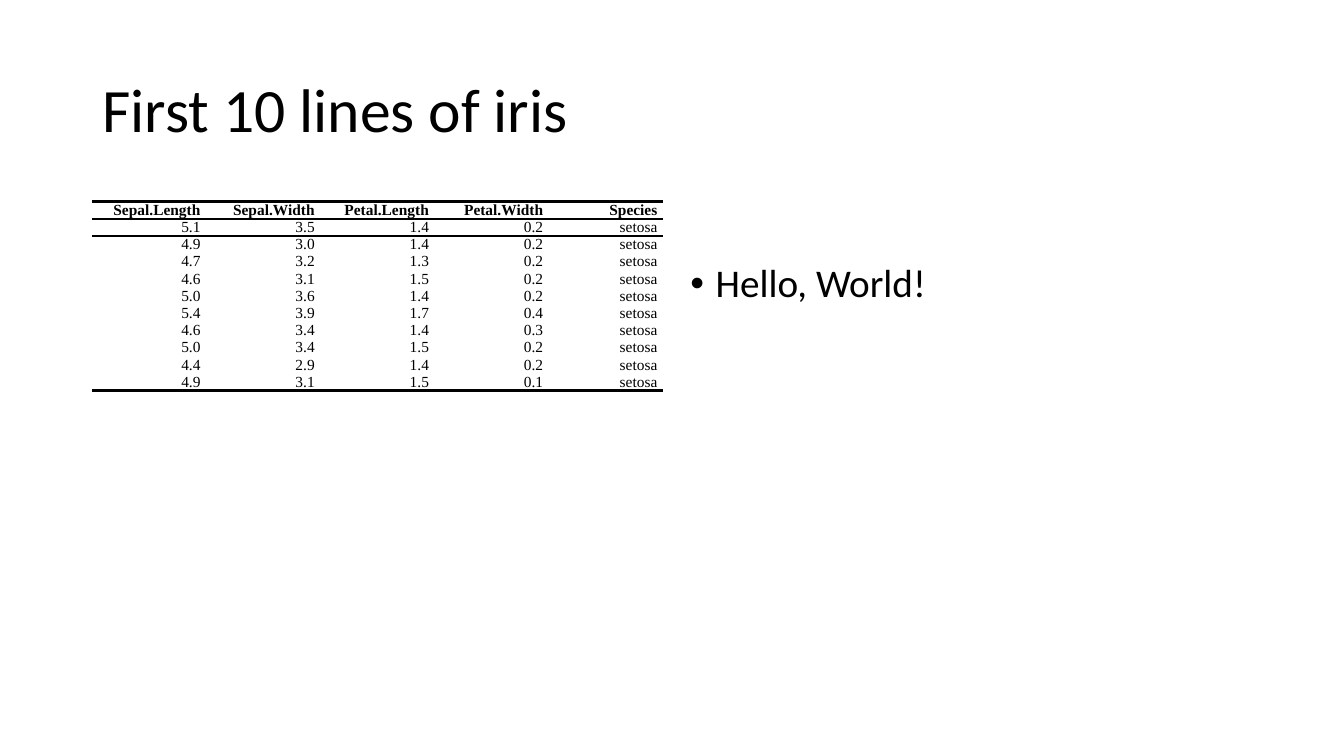
from typing import NamedTuple

from lxml.etree import SubElement
from pptx import Presentation
from pptx.dml.color import RGBColor
from pptx.enum.text import MSO_ANCHOR as Anchor, MSO_AUTO_SIZE as AutoSize, PP_ALIGN as Align
from pptx.oxml.ns import qn
from pptx.util import Emu, Inches, Pt

BLACK = RGBColor(0x00, 0x00, 0x00)
HEADING_FONT = "Calibri"
TABLE_FONT = "Times New Roman"
NO_GRID_STYLE = "{2D5ABB26-0587-4C30-8999-92F81FD0307C}"
GRID_UNIT = Inches(1) / 12  # the slide is 160 columns by 90 rows
SLIDE_COLUMNS, SLIDE_ROWS = 160, 90
CELL_INDENT = Inches(0.06)
TABLE_ROW = 2.05


class Area(NamedTuple):
    column: float
    row: float
    columns: float
    rows: float


class Flower(NamedTuple):
    sepal_length: float
    sepal_width: float
    petal_length: float
    petal_width: float
    species: str = "setosa"


HEADERS = ("Sepal.Length", "Sepal.Width", "Petal.Length", "Petal.Width", "Species")
FLOWERS = (
    Flower(5.1, 3.5, 1.4, 0.2),
    Flower(4.9, 3.0, 1.4, 0.2),
    Flower(4.7, 3.2, 1.3, 0.2),
    Flower(4.6, 3.1, 1.5, 0.2),
    Flower(5.0, 3.6, 1.4, 0.2),
    Flower(5.4, 3.9, 1.7, 0.4),
    Flower(4.6, 3.4, 1.4, 0.3),
    Flower(5.0, 3.4, 1.5, 0.2),
    Flower(4.4, 2.9, 1.4, 0.2),
    Flower(4.9, 3.1, 1.5, 0.1),
)
TITLE_AREA = Area(11, 4.7, 138, 17.4)
TABLE_AREA = Area(11, 24, 68, TABLE_ROW * (len(FLOWERS) + 1))
BODY_AREA = Area(81, 24, 68, 57.1)


def grid(units: float) -> Emu:
    return Emu(round(units * GRID_UNIT))


def add_span(para, text: str, font: str, size: float, bold: bool = False) -> None:
    span = para.add_run()
    span.text = text
    span.font.name = font
    span.font.size = Pt(size)
    span.font.bold = bold
    span.font.color.rgb = BLACK


def fill_placeholder(box, area: Area, text: str, size: float, anchor: Anchor):
    """Move a placeholder to its area, write one line in it and return its frame."""
    box.left, box.top, box.width, box.height = map(grid, area)
    frame = box.text_frame
    frame.auto_size = AutoSize.NONE
    frame.word_wrap = True
    frame.vertical_anchor = anchor
    para = frame.paragraphs[0]
    para.alignment = Align.LEFT
    para.line_spacing = 0.9
    para.space_before = Pt(0)
    add_span(para, text, HEADING_FONT, size)
    return frame


def add_border(cell, side: str) -> None:
    line = SubElement(cell._tc.get_or_add_tcPr(), qn(f"a:{side}"), w=str(Pt(2)))
    fill = SubElement(line, qn("a:solidFill"))
    SubElement(fill, qn("a:srgbClr"), val=str(BLACK))


def fill_cell(cell, text: str, bold: bool, borders: list[str]) -> None:
    cell.margin_left = cell.margin_right = cell.margin_top = cell.margin_bottom = 0
    cell.vertical_anchor = Anchor.MIDDLE
    for side in borders:
        add_border(cell, side)
    cell.fill.background()
    para = cell.text_frame.paragraphs[0]
    para.alignment = Align.RIGHT
    para.space_before = para.space_after = Pt(1)
    properties = para._p.get_or_add_pPr()
    for margin in ("marL", "marR"):
        properties.set(margin, str(CELL_INDENT))
    properties.set("indent", "0")
    add_span(para, text, TABLE_FONT, 11, bold)


def add_iris_table(page) -> None:
    records = [HEADERS, *FLOWERS]
    last = len(records) - 1
    frame = page.shapes.add_table(len(records), len(HEADERS), *map(grid, TABLE_AREA))
    table = frame.table
    table.first_row = table.horz_banding = False
    table._tbl.tblPr.find(qn("a:tableStyleId")).text = NO_GRID_STYLE
    for index, record in enumerate(records):
        borders = ["lnT"] if index <= 1 else []
        if index in (0, last):
            borders.append("lnB")
        for column, value in enumerate(record):
            fill_cell(table.cell(index, column), str(value), index == 0, borders)


def main() -> None:
    deck = Presentation()
    deck.slide_width, deck.slide_height = grid(SLIDE_COLUMNS), grid(SLIDE_ROWS)
    page = deck.slides.add_slide(deck.slide_layouts[1])
    title, body = page.placeholders
    fill_placeholder(title, TITLE_AREA, "First 10 lines of iris", 44, Anchor.MIDDLE)
    add_iris_table(page)
    frame = fill_placeholder(body, BODY_AREA, "Hello, World!", 28, Anchor.TOP)
    frame.margin_top = grid(7.4)
    bullet = frame.paragraphs[0]._p.get_or_add_pPr()
    bullet.set("marL", str(Inches(0.25)))
    bullet.set("indent", str(-Inches(0.25)))
    SubElement(bullet, qn("a:buFont"), typeface="Arial")
    SubElement(bullet, qn("a:buChar"), char="•")
    deck.save("out.pptx")


if __name__ == "__main__":
    main()
